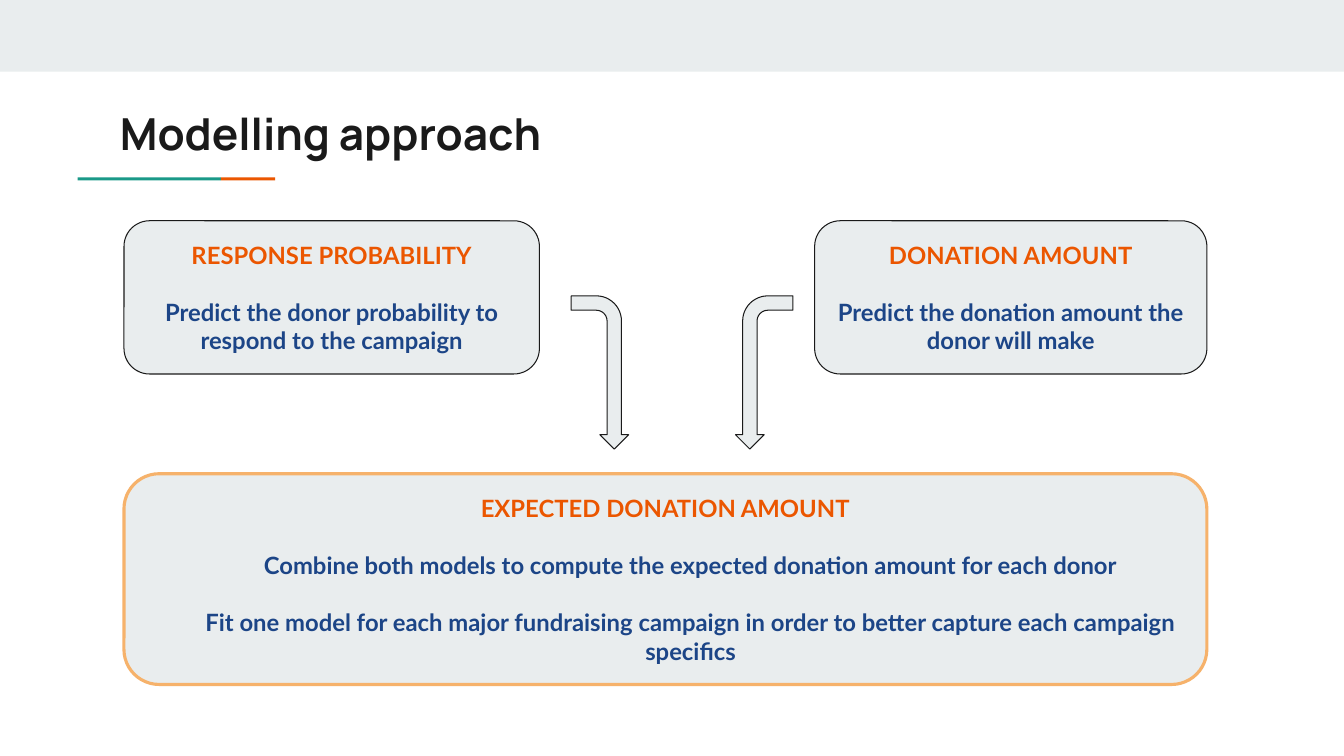
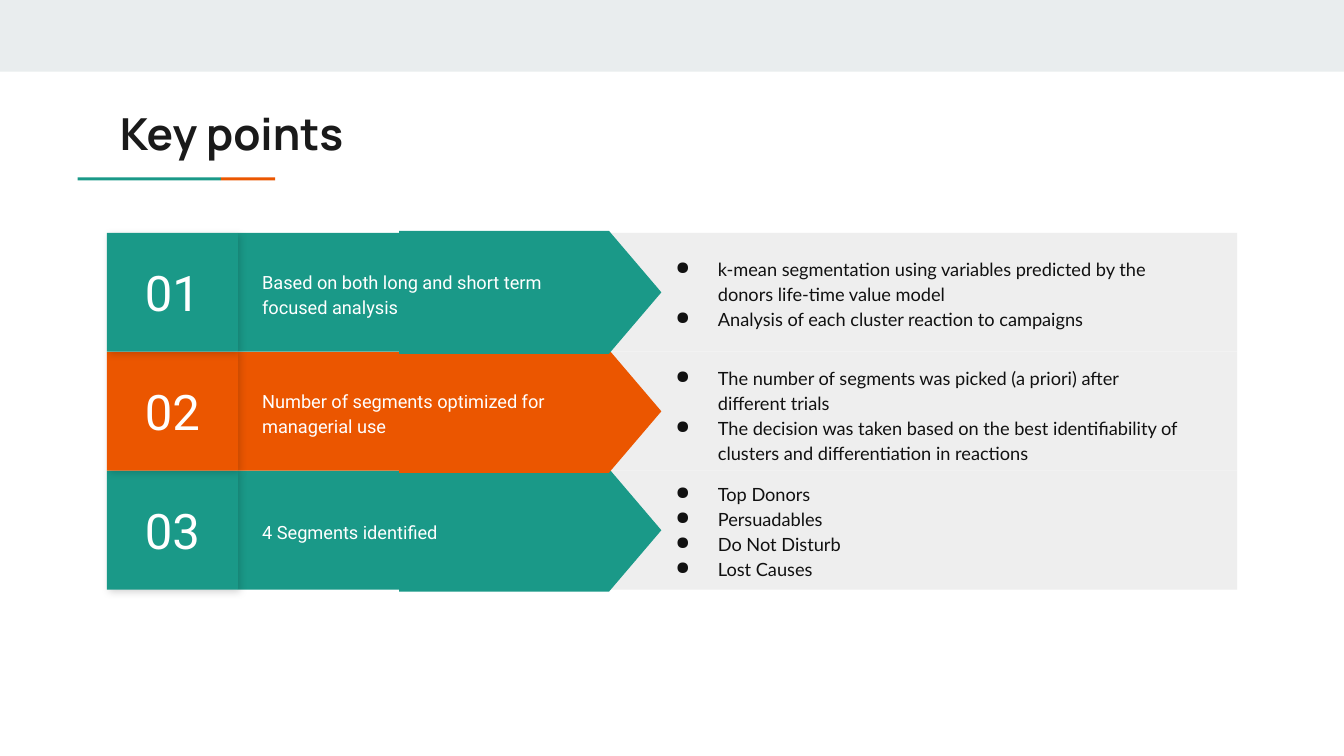
from lxml import etree
from pptx import Presentation
from pptx.dml.color import RGBColor
from pptx.enum.shapes import MSO_SHAPE
from pptx.enum.text import MSO_ANCHOR, MSO_AUTO_SIZE, PP_ALIGN
from pptx.oxml.ns import qn
from pptx.util import Pt

PX = 9144
RECT, ROUND = MSO_SHAPE.RECTANGLE, MSO_SHAPE.ROUNDED_RECTANGLE
BENT, PENTAGON = MSO_SHAPE.BENT_ARROW, MSO_SHAPE.FLOWCHART_OFFPAGE_CONNECTOR
LEFT, CENTER = PP_ALIGN.LEFT, PP_ALIGN.CENTER
MIDDLE = MSO_ANCHOR.MIDDLE

COLORS = {
    "pale": "E9EDEE", "ink": "1A1A1A", "teal": "1A9988", "orange": "EB5600",
    "navy": "1C4587", "amber": "F6B26B", "gray": "EEEEEE", "text": "111111",
    "white": "FFFFFF", "black": "000000",
}

MODEL_BOXES = [
    ((123, 219, 412, 152), "ink", 0.75, 0, "RESPONSE PROBABILITY",
     ["Predict the donor probability to respond to the campaign"]),
    ((808, 219, 389, 152), "ink", 0.75, 0, "DONATION AMOUNT",
     ["Predict the donation amount the donor will make"]),
    ((123, 470, 1074, 209), "amber", 2.25, 50, "EXPECTED DONATION AMOUNT",
     ["Combine both models to compute the expected donation amount for each donor",
      "Fit one model for each major fundraising campaign in order to better "
      "capture each campaign specifics"]),
]

KEY_POINTS = [
    ("teal", "Based on both long and short term focused analysis", 0,
     ["k-mean segmentation using variables predicted by the donors life-time value model",
      "Analysis of each cluster reaction to campaigns"]),
    ("orange", "Number of segments optimized for managerial use", 3,
     ["The number of segments was picked (a priori) after different trials",
      "The decision was taken based on the best identifiability of clusters "
      "and differentiation in reactions"]),
    ("teal", "4 Segments identified", 0,
     ["Top Donors", "Persuadables", "Do Not Disturb", "Lost Causes"]),
]
ROW_TOP, ROW_H = 231, 118


def rgb(name):
    return RGBColor.from_string(COLORS[name])


def emu(box):
    return [v * PX for v in box]


def add_box(s, kind, box, fill, line=None, width=0.75):
    sp = s.shapes.add_shape(kind, *emu(box))
    sp.shadow.inherit = False
    sp.fill.solid()
    sp.fill.fore_color.rgb = rgb(fill)
    if line:
        sp.line.color.rgb = rgb(line)
        sp.line.width = Pt(width)
    else:
        sp.line.fill.background()
    return sp


def set_frame(tf, inset):
    tf.word_wrap = True
    tf.auto_size = MSO_AUTO_SIZE.NONE
    tf.vertical_anchor = MIDDLE
    tf.margin_left = tf.margin_right = tf.margin_top = tf.margin_bottom = inset * PX


def write(p, text, font, size, color, align=LEFT, bold=False, spacing=None):
    p.text = text
    p.alignment = align
    p.line_spacing = spacing
    for r in p.runs:
        r.font.name, r.font.size, r.font.bold = font, Pt(size), bold
        r.font.color.rgb = rgb(color)


def add_paragraph(tf, index):
    return tf.add_paragraph() if index else tf.paragraphs[0]


def add_text(s, box, text, font, size, color, spacing=None):
    tf = s.shapes.add_textbox(*emu(box)).text_frame
    set_frame(tf, 13)
    write(tf.paragraphs[0], text, font, size, color, spacing=spacing)


def add_bullets(s, box, items):
    tf = s.shapes.add_textbox(*emu(box)).text_frame
    set_frame(tf, 13)
    for i, item in enumerate(items):
        p = add_paragraph(tf, i)
        write(p, item, "Lato", 13, "text", spacing=1.15)
        pPr = p._p.get_or_add_pPr()
        pPr.set("marL", str(67 * PX))
        pPr.set("indent", str(-42 * PX))
        etree.SubElement(pPr, qn("a:buChar")).set("char", "●")


def add_soft_shadow(sp):
    effects = sp.element.spPr.find(qn("a:effectLst"))
    shadow = etree.SubElement(effects, qn("a:outerShdw"), blurRad=str(Pt(5.6)),
                              dist=str(Pt(2.2)), dir=str(45 * 60000))
    color = etree.SubElement(shadow, qn("a:srgbClr"), val=COLORS["black"])
    etree.SubElement(color, qn("a:alpha"), val="17000")


def style_layout(layout, s):
    for box, fill in (((0, 0, 1333, 71), "pale"),
                      ((77, 176, 142, 3), "teal"),
                      ((219, 176, 54, 3), "orange")):
        layout.shapes.element.append(add_box(s, RECT, box, fill).element)
    title = layout.placeholders[0]
    title.left, title.top, title.width, title.height = emu((106, 92, 1121, 79))


def set_title(s, text):
    tf = s.shapes.title.text_frame
    set_frame(tf, 13)
    write(tf.paragraphs[0], text, "Manrope", 31.5, "ink", bold=True)


def add_model_box(s, box, line, width, indent, heading, body):
    tf = add_box(s, ROUND, box, "pale", line, width).text_frame
    set_frame(tf, 10)
    for i, text in enumerate([heading] + body):
        p = add_paragraph(tf, i)
        write(p, text, "Lato", 17, "navy" if i else "orange", CENTER, True)
        if i:
            p.space_before = Pt(20.4)
            p._p.get_or_add_pPr().set("marL", str(indent * PX))


def add_bent_arrow(s, left, rotation, flip=False):
    sp = add_box(s, BENT, (left, 341, 152, 57), "pale", "ink")
    sp.adjustments[3] = 0.438
    sp.rotation = rotation
    if flip:
        sp.element.spPr.get_or_add_xfrm().set("flipH", "1")


def add_key_point(s, index, color, label, nudge, bullets):
    top = ROW_TOP + index * ROW_H
    middle = top + ROW_H // 2
    add_box(s, RECT, (508, top, 719, ROW_H), "gray")
    add_box(s, RECT, (236, top, 347, ROW_H), color)
    add_box(s, PENTAGON, (465, middle - 130, 122, 260), color).rotation = 270
    add_text(s, (247, top + 14, 365, 91), label, "Roboto", 13, "white", 1.15)
    number = add_box(s, RECT, (106, top, 130, ROW_H), color)
    add_soft_shadow(number)
    set_frame(number.text_frame, 13)
    write(number.text_frame.paragraphs[0], f"{index + 1:02d}", "Roboto", 35, "white", CENTER)
    add_bullets(s, (632, top + nudge, 559, ROW_H), bullets)


def build_modelling(s):
    set_title(s, "Modelling approach")
    for box in MODEL_BOXES:
        add_model_box(s, *box)
    add_bent_arrow(s, 519, 90)
    add_bent_arrow(s, 682, 270, flip=True)


def build_key_points(s):
    set_title(s, "Key points")
    for index, row in reversed(list(enumerate(KEY_POINTS))):
        add_key_point(s, index, *row)


def main():
    prs = Presentation()
    prs.slide_width, prs.slide_height = 1333 * PX, 750 * PX
    layout = prs.slide_layouts[5]
    modelling = prs.slides.add_slide(layout)
    style_layout(layout, modelling)
    build_modelling(modelling)
    build_key_points(prs.slides.add_slide(layout))
    prs.save("out.pptx")


if __name__ == "__main__":
    main()
